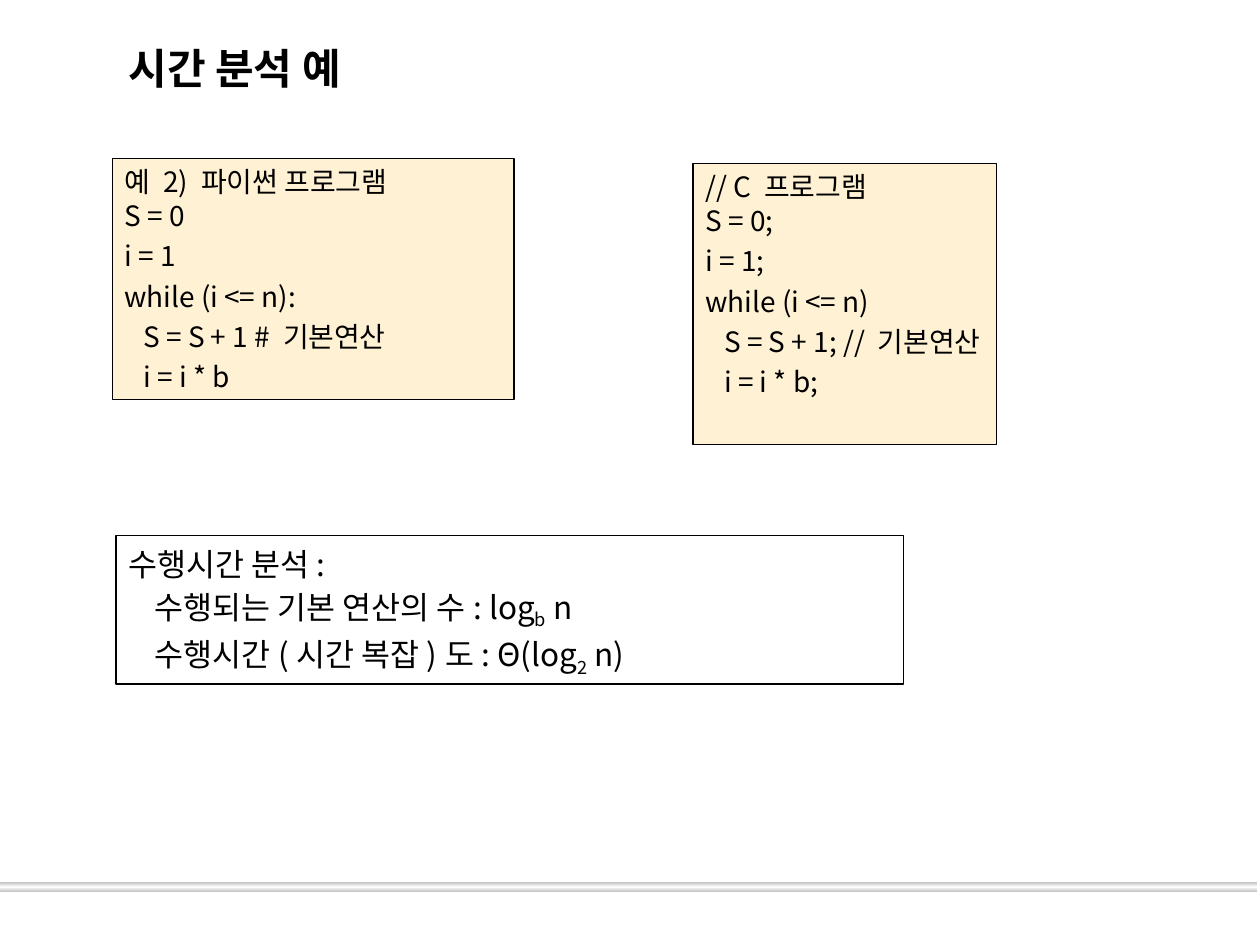
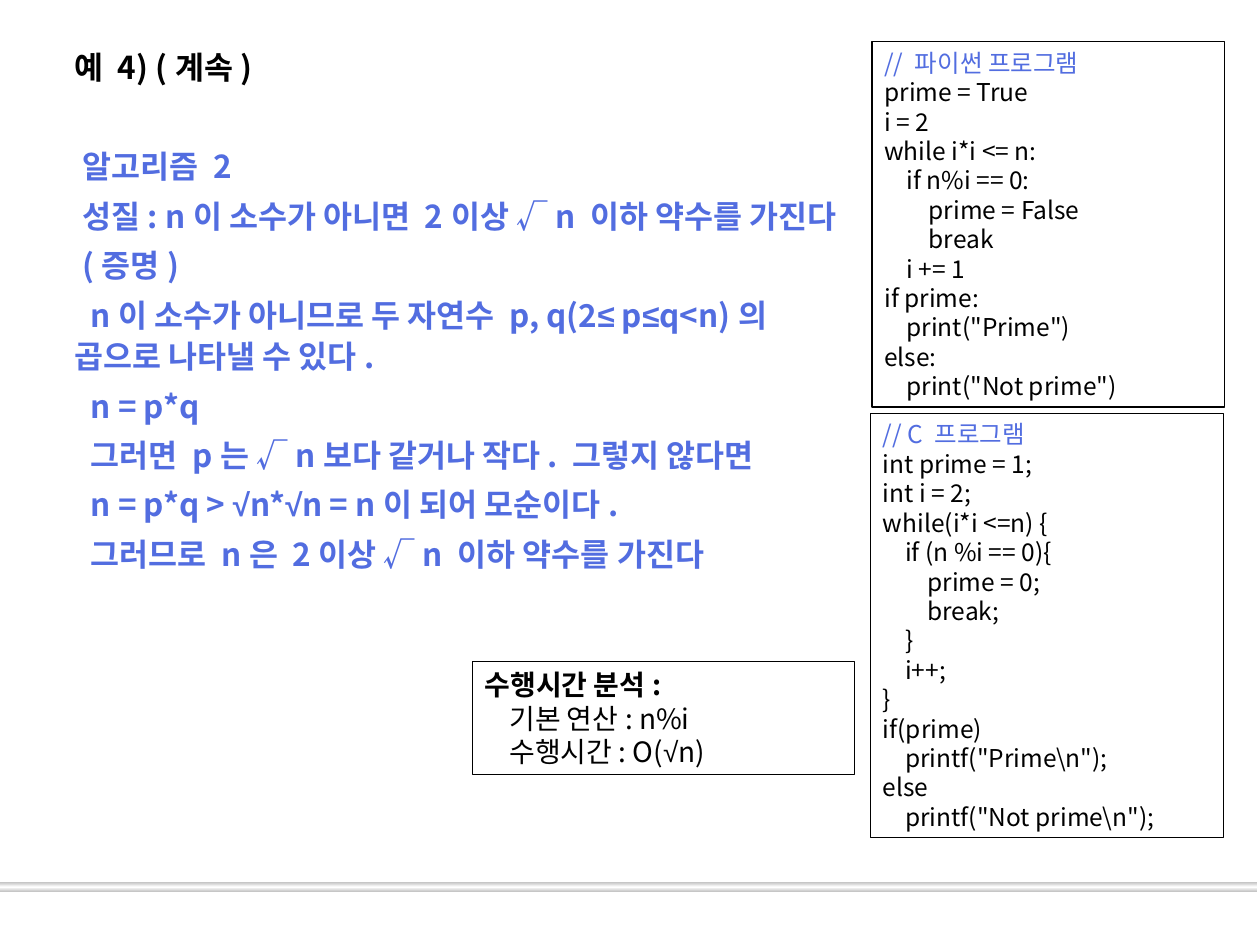
import copy
import itertools

import pptx
import pptx.dml.color
import pptx.enum.shapes
import pptx.enum.text
import pptx.oxml
import pptx.oxml.ns
import pptx.util
from pptx.util import Inches

BLACK = pptx.dml.color.RGBColor(0x00, 0x00, 0x00)
WHITE = pptx.dml.color.RGBColor(0xFF, 0xFF, 0xFF)
SILVER = pptx.dml.color.RGBColor(0xC0, 0xC0, 0xC0)
CREAM = pptx.dml.color.RGBColor(0xFF, 0xF1, 0xD4)
BLUE = pptx.dml.color.RGBColor(0x52, 0x6D, 0xE0)

TEXT_FONT = "Noto Sans CJK KR"
SYMBOL_FONT = "Arial"
SYMBOLS = "√≤"
SUBSCRIPT_MARK = "_"

PYTHON_LOOP = [
    "예 2) 파이썬 프로그램",
    "S = 0",
    "i = 1",
    "while (i <= n):",
    "   S = S + 1 # 기본연산",
    "   i = i * b",
]
C_LOOP = [
    "// C 프로그램",
    "S = 0;",
    "i = 1;",
    "while (i <= n)",
    "   S = S + 1; // 기본연산",
    "   i = i * b;",
]
LOOP_ANALYSIS = [
    "수행시간 분석:",
    "   수행되는 기본 연산의 수: log_b_ n",
    "   수행시간(시간 복잡)도: Θ(log_2_ n)",
]
PROOF = [
    "예 4) (계속)",
    " 알고리즘 2",
    " 성질: n이 소수가 아니면 2이상 √n 이하 약수를 가진다",
    " (증명)",
    "  n이 소수가 아니므로 두 자연수 p, q(2≤ p≤q<n)의 곱으로 나타낼 수 있다.",
    "  n = p*q",
    "  그러면 p는 √n보다 같거나 작다. 그렇지 않다면",
    "  n = p*q > √n*√n = n이 되어 모순이다.",
    "  그러므로 n은 2이상 √n 이하 약수를 가진다",
]
PYTHON_PRIME = [
    "// 파이썬 프로그램",
    "prime = True",
    "i = 2",
    "while i*i <= n:",
    "    if n%i == 0:",
    "        prime = False",
    "        break",
    "    i += 1",
    "if prime:",
    '    print("Prime")',
    "else:",
    '    print("Not prime")',
]
C_PRIME = [
    "// C 프로그램",
    "int prime = 1;",
    "int i = 2;",
    "while(i*i <=n) {",
    "    if (n %i == 0){",
    "        prime = 0;",
    "        break;",
    "    }",
    "    i++;",
    "}",
    "if(prime)",
    '    printf("Prime\\n");',
    "else",
    '    printf("Not prime\\n");',
]
PRIME_ANALYSIS = [
    "수행시간 분석:",
    "   기본 연산: n%i",
    "   수행시간: O(√n)",
]


def place(part, left, top, width, height):
    part.left, part.top = Inches(left), Inches(top)
    part.width, part.height = Inches(width), Inches(height)


def add_runs(paragraph, line):
    for index, piece in enumerate(line.split(SUBSCRIPT_MARK)):
        for is_symbol, letters in itertools.groupby(piece, lambda letter: letter in SYMBOLS):
            run = paragraph.add_run()
            run.text = "".join(letters)
            if is_symbol:
                run.font.name = SYMBOL_FONT
            if index % 2:
                run._r.get_or_add_rPr().set("baseline", "-25000")


def format_paragraph(paragraph, size, color, bold):
    paragraph.alignment = pptx.enum.text.PP_ALIGN.LEFT
    font = paragraph.font
    font.name, font.size, font.bold = TEXT_FONT, pptx.util.Pt(size), bold
    font.color.rgb = color
    properties = paragraph._p.get_or_add_pPr()
    defaults = properties.find(pptx.oxml.ns.qn("a:defRPr"))
    east_asian = pptx.oxml.parse_xml(
        f'<a:ea {pptx.oxml.ns.nsdecls("a")} typeface="{TEXT_FONT}"/>')
    defaults.append(east_asian)


def write_lines(frame, lines, size, indent_step, color=BLACK, bold=False, spacing=1.0):
    frame.word_wrap = True
    frame.auto_size = pptx.enum.text.MSO_AUTO_SIZE.NONE
    frame.vertical_anchor = pptx.enum.text.MSO_ANCHOR.TOP
    for index, line in enumerate(lines):
        paragraph = frame.add_paragraph() if index else frame.paragraphs[0]
        text = line.lstrip()
        add_runs(paragraph, text)
        paragraph.line_spacing = spacing
        format_paragraph(paragraph, size, color, bold)
        indent = Inches(indent_step * (len(line) - len(text)))
        paragraph._p.get_or_add_pPr().set("indent", str(indent))
    return frame.paragraphs


def add_box(slide, area, lines, size, indent_step, fill=None, spacing=1.0):
    box = slide.shapes.add_shape(
        pptx.enum.shapes.MSO_SHAPE.RECTANGLE, *map(Inches, area))
    box.shadow.inherit = False
    if fill is None:
        box.fill.background()
    else:
        box.fill.solid()
        box.fill.fore_color.rgb = fill
    box.line.color.rgb = BLACK
    box.line.width = pptx.util.Pt(0.75)
    return write_lines(box.text_frame, lines, size, indent_step, spacing=spacing)


def add_loop_code(slide, area, lines):
    paragraphs = add_box(slide, area, lines, 16, 0.05, CREAM)
    for statement in paragraphs[2:]:
        statement.line_spacing = 1.2


def add_prime_code(slide, area, lines):
    heading = add_box(slide, area, lines, 14, 0.044)[0]
    heading.font.color.rgb = BLUE


def add_title(slide, text):
    title = slide.shapes.title
    place(title, 0.92, 0.25, 6.58, 0.58)
    write_lines(title.text_frame, [text], 24, 0, bold=True)
    title.text_frame.vertical_anchor = pptx.enum.text.MSO_ANCHOR.MIDDLE


def add_proof(slide):
    proof = slide.placeholders[1]
    place(proof, 0.38, 0.3, 6.47, 6.62)
    paragraphs = write_lines(
        proof.text_frame, PROOF, 18, 0.065, BLUE, bold=True, spacing=1.1)
    for paragraph in paragraphs:
        paragraph.space_before = pptx.util.Pt(4.5)
        properties = paragraph._p.get_or_add_pPr()
        properties.set("marL", str(Inches(0.11)))
        no_bullet = pptx.oxml.parse_xml(f'<a:buNone {pptx.oxml.ns.nsdecls("a")}/>')
        properties.insert_element_before(no_bullet, "a:tabLst", "a:defRPr", "a:extLst")
    paragraphs[0].font.color.rgb = BLACK
    paragraphs[1].space_before = pptx.util.Pt(33)


def move_band_to_master(presentation, slide):
    band = slide.shapes.add_shape(
        pptx.enum.shapes.MSO_SHAPE.RECTANGLE,
        Inches(-0.02), Inches(7), Inches(10), Inches(0.08))
    band.shadow.inherit = False
    band.line.fill.background()
    band.fill.gradient()
    band.fill.gradient_angle = 90
    last_stop = band.fill._xPr.find(".//" + pptx.oxml.ns.qn("a:gsLst"))[-1]
    last_stop.addnext(copy.deepcopy(last_stop))
    for stop, position, color in zip(
            band.fill.gradient_stops, (0, 0.5, 1), (SILVER, WHITE, SILVER)):
        stop.position = position
        stop.color.rgb = color
    presentation.slide_master.shapes._spTree.insert(2, band._element)


def build_loop_slide(presentation):
    slide = presentation.slides.add_slide(presentation.slide_layouts[5])
    move_band_to_master(presentation, slide)
    add_title(slide, "시간 분석 예")
    add_box(slide, (0.92, 4.25, 6.25, 1.18), LOOP_ANALYSIS, 18, 0.07, spacing=1.1)
    add_loop_code(slide, (5.5, 1.3, 2.41, 2.23), C_LOOP)
    add_loop_code(slide, (0.89, 1.26, 3.19, 1.91), PYTHON_LOOP)


def build_prime_slide(presentation):
    slide = presentation.slides.add_slide(presentation.slide_layouts[1])
    unused_title = slide.shapes.title._element
    unused_title.getparent().remove(unused_title)
    add_proof(slide)
    add_prime_code(slide, (6.92, 0.33, 2.8, 2.9), PYTHON_PRIME)
    add_prime_code(slide, (6.91, 3.28, 2.8, 3.37), C_PRIME)
    heading = add_box(slide, (3.75, 5.25, 3.03, 0.9), PRIME_ANALYSIS, 16, 0.065)[0]
    heading.font.bold = True


def main():
    presentation = pptx.Presentation()
    presentation.slide_width = Inches(10)
    presentation.slide_height = Inches(7.5)
    build_loop_slide(presentation)
    build_prime_slide(presentation)
    presentation.save("out.pptx")


if __name__ == "__main__":
    main()
